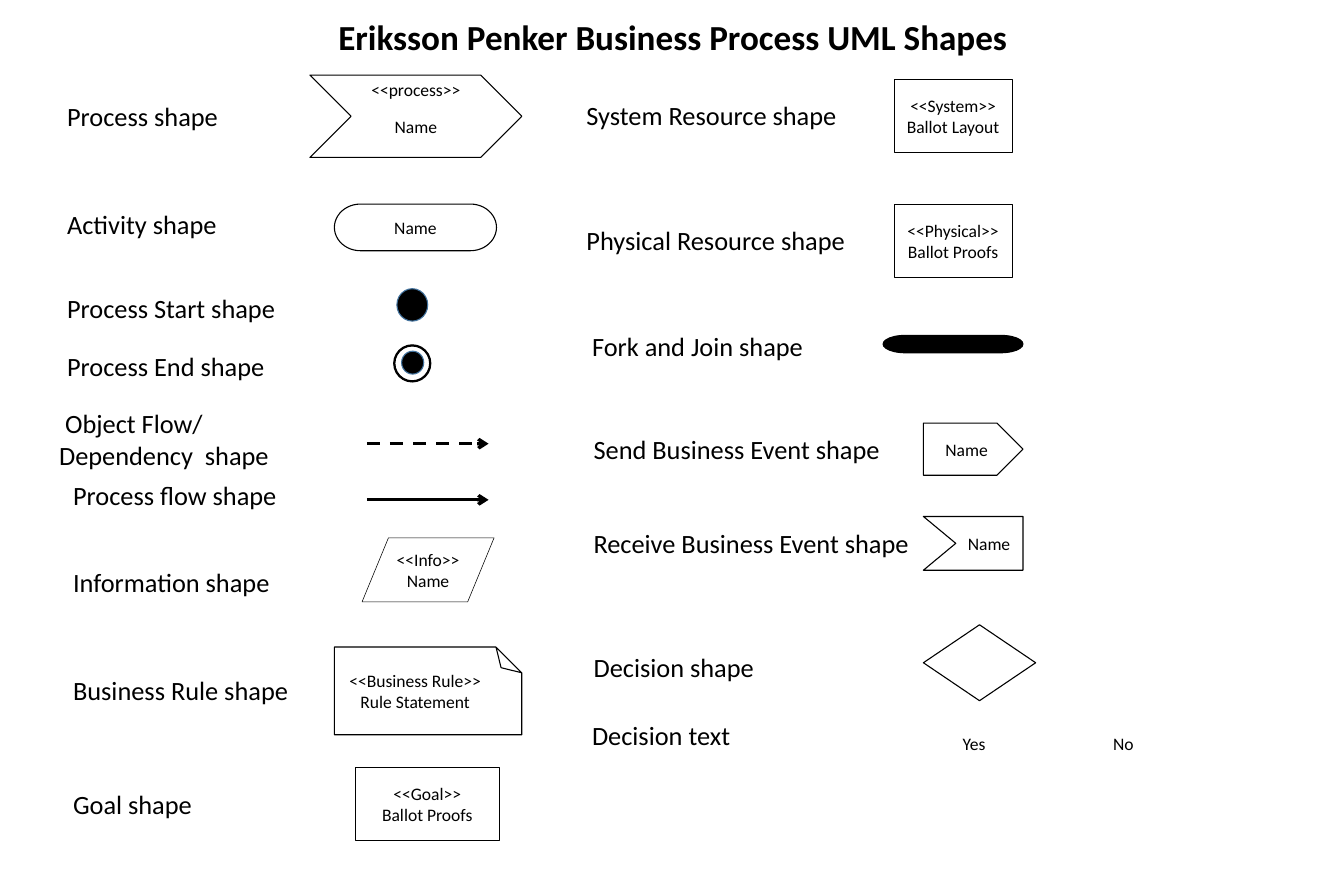
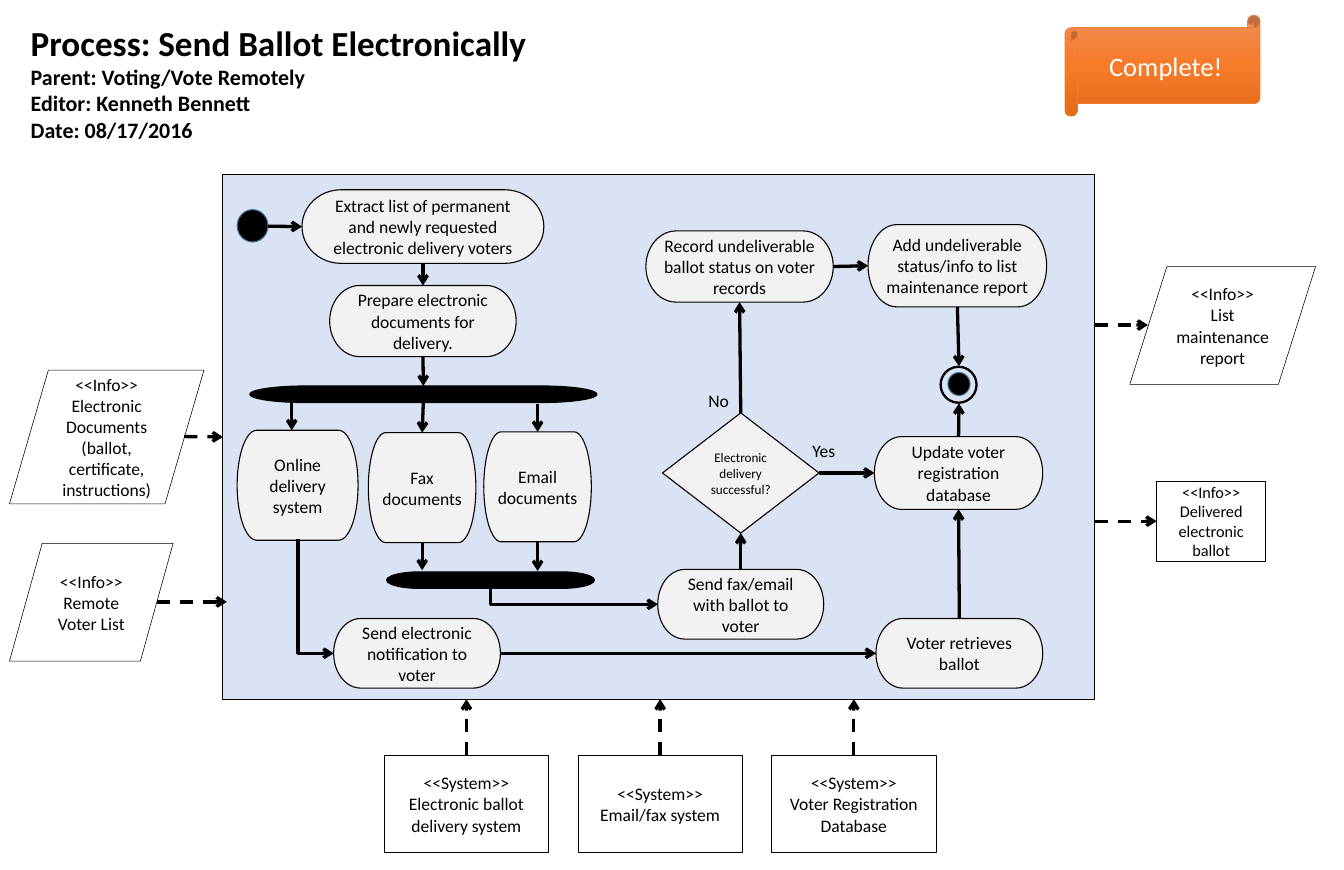
from copy import deepcopy
from dataclasses import dataclass

from lxml import etree
from pptx import Presentation
from pptx.dml.color import RGBColor
from pptx.enum.dml import MSO_LINE
from pptx.enum.shapes import MSO_CONNECTOR, MSO_SHAPE
from pptx.enum.text import MSO_ANCHOR, MSO_AUTO_SIZE, PP_ALIGN
from pptx.oxml.ns import qn
from pptx.shapes.autoshape import Shape
from pptx.shapes.connector import Connector
from pptx.slide import Slide
from pptx.util import Emu, Pt

CENTER, LEFT = PP_ALIGN.CENTER, PP_ALIGN.LEFT
TOP, MIDDLE = MSO_ANCHOR.TOP, MSO_ANCHOR.MIDDLE
STRAIGHT, ELBOW = MSO_CONNECTOR.STRAIGHT, MSO_CONNECTOR.ELBOW
TERMINATOR = MSO_SHAPE.FLOWCHART_TERMINATOR
PROCESS = MSO_SHAPE.FLOWCHART_PROCESS
DATA = MSO_SHAPE.FLOWCHART_DATA
DECISION = MSO_SHAPE.FLOWCHART_DECISION
CIRCLE = MSO_SHAPE.FLOWCHART_CONNECTOR
DONUT = MSO_SHAPE.DONUT
CHEVRON = MSO_SHAPE.CHEVRON
PENTAGON = MSO_SHAPE.PENTAGON
FOLDED = MSO_SHAPE.FOLDED_CORNER
SCROLL = MSO_SHAPE.HORIZONTAL_SCROLL
RECTANGLE = MSO_SHAPE.RECTANGLE

FONT = "Calibri"
BLACK, WHITE = "000000", "FFFFFF"
PANEL_BLUE, DOT_EDGE, ACTIVITY_GREY = "DAE3F3", "43739E", "F2F2F2"
ORANGE = "ED7D31"
ORANGE_STOPS = ((0, "F18C57"), (0.5, "F67B28"), (1, "E56C19"))
EMU_PER_PX = 9144
TOP_SIDE, LEFT_SIDE, BOTTOM_SIDE, RIGHT_SIDE = range(4)

Point = tuple[int, int]
Joint = tuple[str, int]


@dataclass(frozen=True)
class Style:
    size: float = 16
    bold: bool = False
    align: PP_ALIGN = CENTER
    colour: str = BLACK
    lead_size: float | None = None
    gap: float = 0


@dataclass(frozen=True)
class Node:
    kind: MSO_SHAPE
    left: int
    top: int
    width: int
    height: int
    lines: tuple[str, ...] = ()
    fill: str | None = None
    weight: float = 1
    line: str = BLACK
    style: Style = Style()
    adjust: int | None = None
    anchor: MSO_ANCHOR = MIDDLE


@dataclass(frozen=True)
class Label:
    left: int
    top: int
    width: int
    height: int
    lines: tuple[str, ...]
    style: Style = Style()


@dataclass(frozen=True)
class Arrow:
    start: Point | Joint
    end: Point | Joint
    dashed: bool = False
    bent: bool = False


LABEL = Style(24, align=LEFT)
TITLE = Style(32, bold=True)
HEADING = Style(20, bold=True, align=LEFT, lead_size=32)


def px(length: float) -> Emu:
    return Emu(round(length * EMU_PER_PX))


def colour(value: str) -> RGBColor:
    return RGBColor.from_string(value)


def write(box: Shape, lines: tuple[str, ...], style: Style) -> None:
    frame = box.text_frame
    frame.word_wrap = True
    for index, line in enumerate(lines):
        para = frame.add_paragraph() if index else frame.paragraphs[0]
        para.alignment = style.align
        if index and style.gap:
            para.space_before = Pt(style.gap)
        span = para.add_run()
        span.text = line
        font = span.font
        font.name = FONT
        font.size = Pt(style.size if index else style.lead_size or style.size)
        font.bold = style.bold
        font.color.rgb = colour(style.colour)


def finish(box: Shape, fill: str | None, line: str, weight: float) -> None:
    box.shadow.inherit = False
    if fill:
        box.fill.solid()
        box.fill.fore_color.rgb = colour(fill)
    else:
        box.fill.background()
    box.line.color.rgb = colour(line)
    box.line.width = Pt(weight)


def set_adjustment(box: Shape, value: int) -> None:
    guides = box._element.spPr.find(qn("a:prstGeom")).find(qn("a:avLst"))
    guides.clear()
    etree.SubElement(guides, qn("a:gd"), name="adj", fmla=f"val {value}")


def draw_node(page: Slide, node: Node) -> Shape:
    box = page.shapes.add_shape(
        node.kind, px(node.left), px(node.top), px(node.width), px(node.height))
    if node.adjust is not None:
        set_adjustment(box, node.adjust)
    finish(box, node.fill, node.line, node.weight)
    box.text_frame.vertical_anchor = node.anchor
    write(box, node.lines, node.style)
    return box


def draw_label(page: Slide, label: Label) -> None:
    box = page.shapes.add_textbox(
        px(label.left), px(label.top), px(label.width), px(label.height))
    write(box, label.lines, label.style)
    box.text_frame.auto_size = MSO_AUTO_SIZE.SHAPE_TO_FIT_TEXT


def locate(boxes: dict[str, Shape], place: Point | Joint) -> tuple[Emu, Emu]:
    name, side = place
    if not isinstance(name, str):
        return px(name), px(side)
    box = boxes[name]
    across, down = ((0.5, 0), (0, 0.5), (0.5, 1), (1, 0.5))[side]
    return (Emu(round(box.left + box.width * across)),
            Emu(round(box.top + box.height * down)))


def turn_corner(link: Connector, x1: int, y1: int, x2: int, y2: int) -> None:
    width, height = y2 - y1, x2 - x1
    link.left, link.top = Emu((x1 + x2 - width) // 2), Emu((y1 + y2 - height) // 2)
    link.width, link.height = Emu(width), Emu(height)
    properties = link._element.spPr
    properties.find(qn("a:xfrm")).set("rot", "16200000")
    properties.find(qn("a:xfrm")).set("flipH", "1")
    properties.find(qn("a:prstGeom")).set("prst", "bentConnector2")


def draw_arrow(page: Slide, boxes: dict[str, Shape], arrow: Arrow) -> None:
    ends = (*locate(boxes, arrow.start), *locate(boxes, arrow.end))
    link = page.shapes.add_connector(ELBOW if arrow.bent else STRAIGHT, *ends)
    if arrow.bent:
        turn_corner(link, *ends)
    else:
        for place, connect in ((arrow.start, link.begin_connect), (arrow.end, link.end_connect)):
            if isinstance(place[0], str):
                connect(boxes[place[0]], place[1])
    link.line.color.rgb = colour(BLACK)
    link.line.width = Pt(3)
    if arrow.dashed:
        link.line.dash_style = MSO_LINE.DASH
    properties = link._element.spPr
    etree.SubElement(properties.find(qn("a:ln")), qn("a:tailEnd")).set("type", "arrow")
    etree.SubElement(properties, qn("a:effectLst"))


def draw_dot(page: Slide, left: int, top: int, width: int = 39, height: int = 41) -> None:
    draw_node(page, Node(CIRCLE, left, top, width, height, fill=BLACK, line=DOT_EDGE))


def draw_end(page: Slide, left: int, top: int) -> None:
    draw_node(page, Node(DONUT, left, top, 47, 47, fill=BLACK, adjust=3200))
    draw_dot(page, left + 10, top + 8, 28, 29)


def draw_rule_note(page: Slide) -> None:
    note = draw_node(page, Node(FOLDED, 486, 755, 111, 237,
                                ("<<Business Rule>>", "Rule Statement"), adjust=29400))
    note.rotation = 270
    frame = note.text_frame
    frame.margin_left = frame.margin_right = px(13)
    frame.margin_top = frame.margin_bottom = px(6)
    frame._txBody.bodyPr.set("vert", "vert")


def draw_receive_event(page: Slide) -> None:
    outline = page.shapes.build_freeform(1168, 653, scale=float(EMU_PER_PX))
    outline.add_line_segments([(1294, 653), (1294, 721), (1168, 721), (1209, 687)])
    box = outline.convert_to_shape()
    finish(box, None, BLACK, 1)
    box.text_frame.margin_left = px(50)
    box.text_frame.vertical_anchor = MIDDLE
    write(box, ("Name",), Style())


def draw_banner(page: Slide) -> None:
    banner = draw_node(page, Node(SCROLL, 1347, 19, 247, 128, ("Complete!",), weight=0.5,
                                  line=ORANGE, style=Style(24.2, colour=WHITE)))
    banner.fill.gradient()
    banner.fill.gradient_angle = 270
    stops = banner._element.spPr.find(qn("a:gradFill")).find(qn("a:gsLst"))
    stops.append(deepcopy(stops[0]))
    for stop, (position, value) in zip(banner.fill.gradient_stops, ORANGE_STOPS):
        stop.position = position
        stop.color.rgb = colour(value)


def activity(left: int, top: int, width: int, height: int, text: str) -> Node:
    return Node(TERMINATOR, left, top, width, height, (text,), ACTIVITY_GREY)


def bar(left: int, top: int, width: int, height: int) -> Node:
    return Node(TERMINATOR, left, top, width, height, fill=BLACK)


def thin(kind: MSO_SHAPE, left: int, top: int, width: int, height: int,
         *lines: str, size: float = 16) -> Node:
    return Node(kind, left, top, width, height, lines, weight=0.5, style=Style(size))


def build_shape_key(page: Slide) -> None:
    draw_label(page, Label(392, 14, 919, 64,
                           ("Eriksson Penker Business Process UML Shapes",), TITLE))
    names = (
        (75, 122, 275, "Process shape"), (75, 258, 275, "Activity shape"),
        (75, 365, 313, "Process Start shape"), (75, 438, 313, "Process End shape"),
        (75, 601, 313, " Process flow shape"), (75, 711, 313, " Information shape"),
        (75, 848, 313, " Business Rule shape"), (75, 992, 313, " Goal shape"),
        (732, 121, 340, "System Resource shape"), (732, 279, 368, "Physical Resource shape"),
        (739, 412, 368, "Fork and Join shape"), (741, 543, 390, "Send Business Event shape"),
        (741, 662, 427, "Receive Business Event shape"), (741, 818, 368, "Decision shape"),
        (739, 904, 368, "Decision text"),
    )
    for left, top, width, text in names:
        draw_label(page, Label(left, top, width, 50, (text,), LABEL))
    draw_label(page, Label(65, 510, 400, 91, (" Object Flow/", "Dependency  shape"), LABEL))
    for left, text in ((1198, "Yes"), (1387, "No")):
        draw_label(page, Label(left, 922, 68, 37, (text,)))
    for node in (
        Node(CHEVRON, 392, 95, 268, 104, ("<<process>>", "Name"),
             style=Style(gap=14.4), anchor=TOP),
        Node(TERMINATOR, 423, 258, 205, 59, ("Name",), WHITE),
        thin(DATA, 458, 680, 167, 81, "<<Info>>", "Name"),
        thin(PROCESS, 449, 970, 183, 93, "<<Goal>>", "Ballot Proofs"),
        thin(PROCESS, 1131, 100, 149, 93, "<<System>>", "Ballot Layout"),
        thin(PROCESS, 1131, 258, 149, 93, "<<Physical>>", "Ballot Proofs"),
        bar(1117, 424, 177, 22),
        Node(PENTAGON, 1168, 535, 126, 66, ("Name",)),
        Node(DECISION, 1168, 790, 142, 96),
    ):
        draw_node(page, node)
    draw_dot(page, 502, 365)
    draw_end(page, 498, 436)
    draw_rule_note(page)
    draw_receive_event(page)
    for top, dashed in ((561, True), (632, False)):
        draw_arrow(page, {}, Arrow((464, top), (618, top), dashed))


def build_ballot_process(page: Slide) -> None:
    draw_label(page, Label(29, 22, 1570, 165, (
        "Process: Send Ballot Electronically", "Parent: Voting/Vote Remotely",
        "Editor: Kenneth Bennett", "Date: 08/17/2016"), HEADING))
    nodes = {
        "panel": Node(RECTANGLE, 282, 221, 1103, 663, fill=PANEL_BLUE),
        "extract": activity(382, 240, 306, 93, "Extract list of permanent and newly "
                            "requested electronic delivery voters"),
        "prepare": activity(417, 361, 236, 90, "Prepare electronic documents for delivery."),
        "fork": bar(316, 488, 439, 21),
        "online": activity(300, 544, 153, 139, "Online delivery system"),
        "fax": activity(466, 547, 136, 139, "Fax documents"),
        "email": activity(612, 546, 136, 139, "Email documents"),
        "join": bar(489, 723, 263, 21),
        "notify": activity(422, 782, 211, 88, "Send electronic notification to voter"),
        "send": activity(832, 720, 210, 88, "Send fax/email with ballot to voter"),
        "decision": Node(DECISION, 838, 522, 198, 152, ("Electronic", "delivery successful?"),
                         ACTIVITY_GREY, style=Style(12)),
        "record": activity(817, 292, 237, 90,
                           "Record undeliverable ballot status on voter records"),
        "add": activity(1098, 284, 226, 104,
                        "Add undeliverable status/info to list maintenance report"),
        "update": activity(1106, 552, 213, 92, "Update voter registration database"),
        "retrieve": activity(1108, 782, 211, 88, "Voter retrieves ballot"),
        "documents": thin(DATA, 12, 468, 246, 169, "<<Info>>",
                          "Electronic Documents (ballot, certificate, instructions)"),
        "voters": thin(DATA, 12, 687, 207, 149, "<<Info>>", "Remote Voter List"),
        "report": thin(DATA, 1429, 337, 235, 149, "<<Info>>", "List maintenance report"),
        "delivered": thin(PROCESS, 1463, 608, 138, 102, "<<Info>>",
                          "Delivered electronic ballot", size=14.8),
    }
    arrows = [
        Arrow((339, 286), ("extract", LEFT_SIDE)),
        Arrow(("extract", BOTTOM_SIDE), ("prepare", TOP_SIDE)),
        Arrow(("prepare", BOTTOM_SIDE), ("fork", TOP_SIDE)),
        Arrow((369, 507), (369, 544)),
        Arrow(("fork", BOTTOM_SIDE), ("fax", TOP_SIDE)),
        Arrow((680, 511), ("email", TOP_SIDE)),
        Arrow(("fax", BOTTOM_SIDE), (534, 721)),
        Arrow(("email", BOTTOM_SIDE), (680, 722)),
        Arrow((377, 682), ("notify", LEFT_SIDE), bent=True),
        Arrow((620, 745), ("send", LEFT_SIDE), bent=True),
        Arrow(("notify", RIGHT_SIDE), ("retrieve", LEFT_SIDE)),
        Arrow(("send", TOP_SIDE), ("decision", BOTTOM_SIDE)),
        Arrow(("decision", TOP_SIDE), ("record", BOTTOM_SIDE)),
        Arrow(("decision", RIGHT_SIDE), ("update", LEFT_SIDE)),
        Arrow(("record", RIGHT_SIDE), ("add", LEFT_SIDE)),
        Arrow(("retrieve", TOP_SIDE), ("update", BOTTOM_SIDE)),
        Arrow(("update", TOP_SIDE), (1213, 510)),
        Arrow(("add", BOTTOM_SIDE), (1213, 463)),
        Arrow((233, 552), ("panel", LEFT_SIDE), dashed=True),
        Arrow((198, 761), (287, 761), dashed=True),
        Arrow((1385, 411), (1452, 411), dashed=True),
        Arrow((1385, 659), ("delivered", LEFT_SIDE), dashed=True),
    ]
    systems = ("Electronic ballot delivery system", "Email/fax system",
               "Voter Registration Database")
    for index, system in enumerate(systems):
        left = 486 + 245 * index
        nodes[system] = thin(PROCESS, left, 955, 208, 123, "<<System>>", system)
        arrows.append(Arrow((system, TOP_SIDE), (left + 104, 884), dashed=True))
    boxes = {name: draw_node(page, node) for name, node in nodes.items()}
    draw_dot(page, 300, 265)
    draw_end(page, 1189, 463)
    for arrow in arrows:
        draw_arrow(page, boxes, arrow)
    for left, top, text in ((1008, 551, "Yes"), (875, 488, "No")):
        draw_label(page, Label(left, top, 68, 37, (text,)))
    draw_banner(page)


def main() -> None:
    deck = Presentation()
    deck.slide_width, deck.slide_height = px(1700), px(1100)
    for build in (build_shape_key, build_ballot_process):
        build(deck.slides.add_slide(deck.slide_layouts[6]))
    deck.save("out.pptx")


if __name__ == "__main__":
    main()
